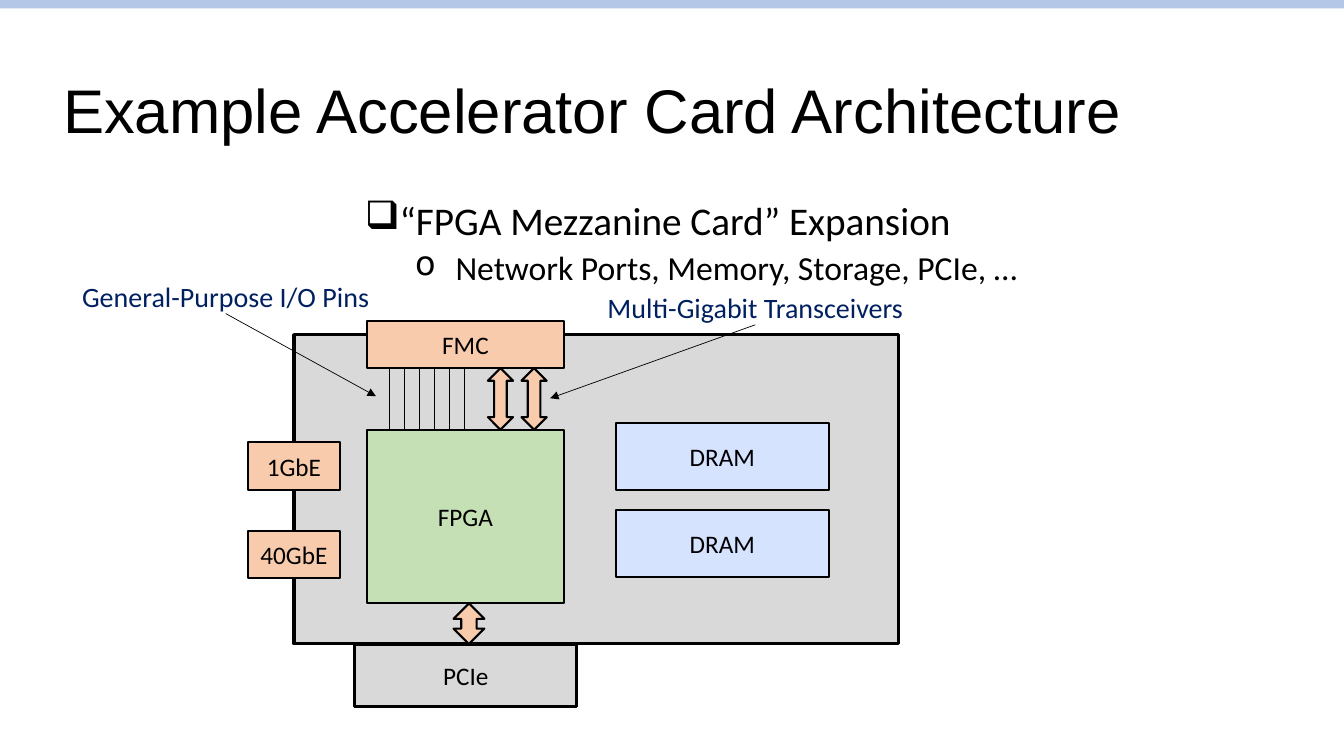
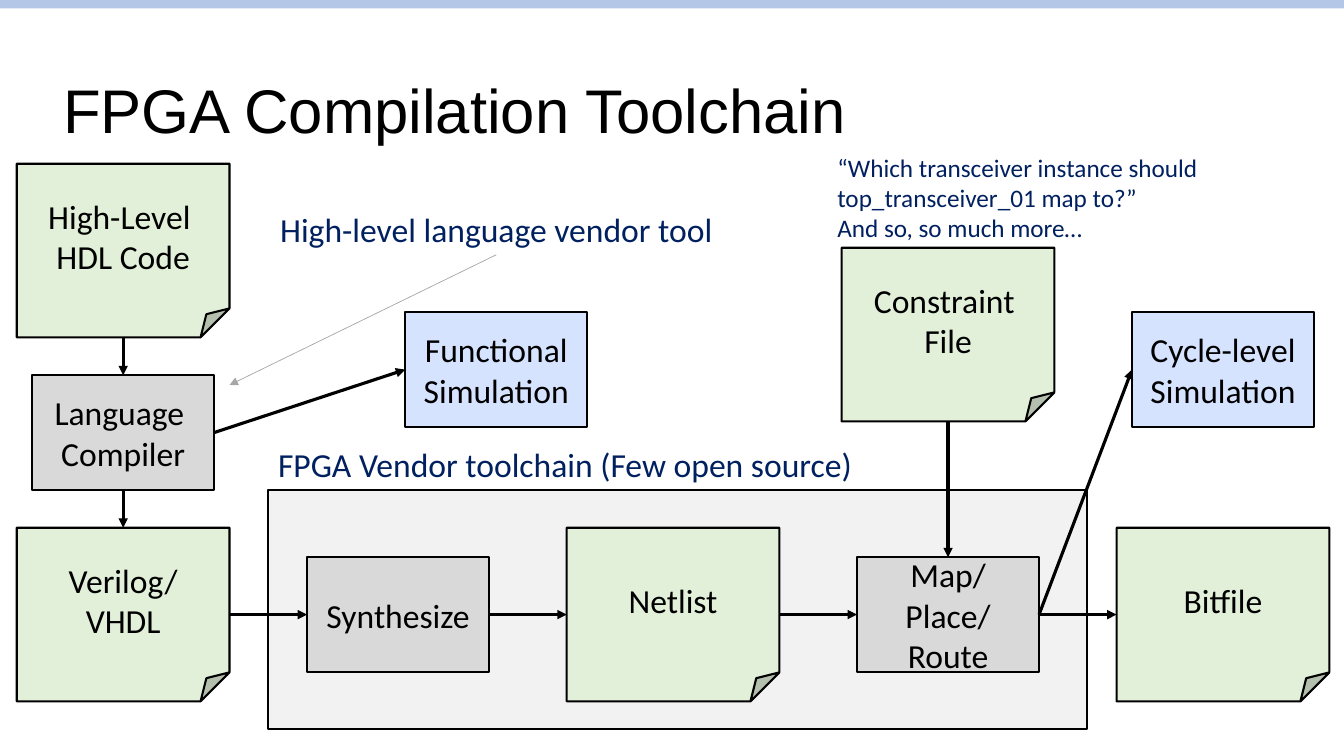
from dataclasses import dataclass

from lxml import etree
from pptx import Presentation
from pptx.dml.color import RGBColor
from pptx.enum import shapes, text
from pptx.oxml.ns import qn
from pptx.util import Pt


@dataclass(frozen=True)
class Theme:
    band: str = "B4C7E7"
    ink: str = "000000"
    note: str = "002060"
    gray: str = "D9D9D9"
    region: str = "F2F2F2"
    pointer: str = "A6A6A6"
    green: str = "C5E0B4"
    document: str = "E2F0D9"
    blue: str = "D6E3FF"
    orange: str = "F8CBAD"
    title_font: str = "Arial"
    body_font: str = "Calibri"
    title_size: int = 44
    bullet_size: int = 28
    large_size: int = 24
    label_size: int = 20
    small_size: int = 18
    outline: float = 1.5
    heavy: float = 2.25
    thin: float = 0.5


theme = Theme()
Shape = shapes.MSO_SHAPE
Align = text.PP_ALIGN
TOP, LEFT, BOTTOM, RIGHT = range(4)


def add_box(slide, frame, lines=(), fill=None, kind=Shape.RECTANGLE, line=theme.outline,
            size=theme.small_size, color=theme.ink, font=theme.body_font, align=Align.CENTER):
    frame = [Pt(length) for length in frame]
    if fill:
        shape = slide.shapes.add_shape(kind, *frame)
        shape.shadow.inherit = False
        shape.fill.solid()
        shape.fill.fore_color.rgb = RGBColor.from_string(fill)
        if line:
            shape.line.color.rgb = RGBColor.from_string(theme.ink)
            shape.line.width = Pt(line)
        else:
            shape.line.fill.background()
        shape.text_frame.vertical_anchor = text.MSO_ANCHOR.MIDDLE
    else:
        shape = slide.shapes.add_textbox(*frame)
        shape.text_frame.word_wrap = False
    if lines:
        shape.text_frame.text = "\n".join(lines)
        for paragraph in shape.text_frame.paragraphs:
            paragraph.alignment = align
            paragraph.font.size = Pt(size)
            paragraph.font.name = font
            paragraph.font.color.rgb = RGBColor.from_string(color)
    return shape


def add_line(slide, start, end, width=theme.heavy, color=theme.ink, arrow=True):
    joined = [len(place) == 2 and hasattr(place[0], "shape_id") for place in (start, end)]
    ends = [(0, 0) if join else place for join, place in zip(joined, (start, end))]
    connector = slide.shapes.add_connector(
        shapes.MSO_CONNECTOR.STRAIGHT, *[Pt(length) for point in ends for length in point])
    if joined[0]:
        connector.begin_connect(*start)
    if joined[1]:
        connector.end_connect(*end)
    connector.line.width = Pt(width)
    connector.line.color.rgb = RGBColor.from_string(color)
    if arrow:
        etree.SubElement(connector.line._get_or_add_ln(), qn("a:tailEnd"), type="triangle")
    etree.SubElement(connector._element.spPr, qn("a:effectLst"))


presentation = Presentation()
presentation.slide_width, presentation.slide_height = Pt(960), Pt(540)

slides = []
for heading in ("Example Accelerator Card Architecture", "FPGA Compilation Toolchain"):
    slide = presentation.slides.add_slide(presentation.slide_layouts[6])
    add_box(slide, (0, 0, 960, 6), fill=theme.band, line=None)
    title = add_box(slide, (38, 29, 919, 104), [heading], size=theme.title_size,
                    font=theme.title_font, align=Align.LEFT)
    title.text_frame.word_wrap = True
    title.text_frame.vertical_anchor = text.MSO_ANCHOR.MIDDLE
    title.text_frame.paragraphs[0].line_spacing = 0.9
    slides.append(slide)
card_slide, toolchain_slide = slides

add_box(card_slide, (210, 239, 432, 221), fill=theme.gray, line=theme.heavy)
add_box(card_slide, (253.5, 460, 158.5, 44.5), ["PCIe"], theme.gray, line=theme.heavy)
add_box(card_slide, (262, 307, 141, 124), ["FPGA"], theme.green)
add_box(card_slide, (262, 229, 141, 34), ["FMC"], theme.orange)
for top in (302, 364):
    add_box(card_slide, (440, top, 152, 48), ["DRAM"], theme.blue)
for top, port in ((316, "1GbE"), (379, "40GbE")):
    add_box(card_slide, (177, top, 66, 34), [port], theme.orange)
for pin in range(6):
    pin_x = 278 + 10.7 * pin
    add_line(card_slide, (pin_x, 307), (pin_x, 263), theme.thin, arrow=False)
for frame in ((348.5, 263, 18, 44), (372.5, 263, 18, 44), (324, 431, 22, 29)):
    add_box(card_slide, frame, fill=theme.orange, kind=Shape.UP_DOWN_ARROW)

body = add_box(card_slide, (253.5, 140.5, 501, 81),
               ["“FPGA Mezzanine Card” Expansion", "Network Ports, Memory, Storage, PCIe, …"],
               align=Align.LEFT).text_frame
body.word_wrap = True
bullets = (("❑", 18, -36, theme.bullet_size, 0), ("o", 64.8, -28.8, theme.large_size, 5))
for level, (paragraph, bullet) in enumerate(zip(body.paragraphs, bullets)):
    mark, margin, indent, size, space = bullet
    properties = paragraph._p.get_or_add_pPr()
    properties.set("marL", str(Pt(margin)))
    properties.set("indent", str(Pt(indent)))
    properties.insert(0, properties.makeelement(qn("a:buChar"), {"char": mark}))
    paragraph.level = level
    paragraph.line_spacing = 0.9
    paragraph.space_before = Pt(space)
    paragraph.font.size = Pt(size)

for frame, caption, target in (
    ((57.5, 199.5, 207.5, 24.5), "General-Purpose I/O Pins", (268.5, 283)),
    ((432.5, 207.5, 214, 24.5), "Multi-Gigabit Transceivers", (393, 284.5)),
):
    label = add_box(card_slide, frame, [caption], size=theme.label_size, color=theme.note)
    label_frame = label.text_frame
    label_frame.margin_left = label_frame.margin_right = 0
    label_frame.margin_top = label_frame.margin_bottom = 0
    add_line(card_slide, (label, BOTTOM), target, theme.thin)

add_box(toolchain_slide, (191.5, 350, 585, 170.5), fill=theme.region)
document = (152, 124, theme.document, Shape.FOLDED_CORNER)
step = (130, 82, theme.gray, Shape.RECTANGLE)
simulation = (130, 82, theme.blue, Shape.RECTANGLE)
columns = [88 + 196.4 * index for index in range(5)]
rows = [179 + 130 * index for index in range(3)]
nodes = {}
for name, style, center_x, center_y, lines in (
    ("code", document, columns[0], rows[0], ["High-Level ", "HDL Code"]),
    ("compiler", step, columns[0], rows[1], ["Language ", "Compiler"]),
    ("verilog", document, columns[0], rows[2], ["Verilog/", "VHDL"]),
    ("synthesize", step, columns[1], rows[2], ["Synthesize"]),
    ("netlist", document, columns[2], rows[2], ["Netlist"]),
    ("route", step, columns[3], rows[2], ["Map/", "Place/", "Route"]),
    ("bitfile", document, columns[4], rows[2], ["Bitfile"]),
    ("constraint", document, columns[3], 239, ["Constraint ", "File"]),
    ("functional", simulation, 354.5, 264, ["Functional", "Simulation"]),
    ("cycle", simulation, columns[4], 264, ["Cycle-level", "Simulation"]),
):
    width, height, fill, kind = style
    frame = (center_x - width / 2, center_y - height / 2, width, height)
    nodes[name] = add_box(toolchain_slide, frame, lines, fill, kind, size=theme.large_size)

for source, source_side, target, target_side in (
    ("code", BOTTOM, "compiler", TOP),
    ("compiler", BOTTOM, "verilog", TOP),
    ("verilog", RIGHT, "synthesize", LEFT),
    ("synthesize", RIGHT, "netlist", LEFT),
    ("netlist", RIGHT, "route", LEFT),
    ("route", RIGHT, "bitfile", LEFT),
    ("constraint", BOTTOM, "route", TOP),
    ("compiler", RIGHT, "functional", LEFT),
    ("route", RIGHT, "cycle", LEFT),
):
    add_line(toolchain_slide, (nodes[source], source_side), (nodes[target], target_side))

vendor_tool = add_box(toolchain_slide, (191.5, 146, 326, 36), ["High-level language vendor tool"],
                      size=theme.large_size, color=theme.note)
add_line(toolchain_slide, (vendor_tool, BOTTOM), (164, 275), theme.thin, theme.pointer)
add_box(toolchain_slide, (191.5, 313.5, 428, 36), ["FPGA Vendor toolchain (Few open source)"],
        size=theme.large_size, color=theme.note, align=Align.LEFT)
add_box(toolchain_slide, (591, 105, 275, 73),
        ["“Which transceiver instance should", "top_transceiver_01 map to?”",
         "And so, so much more…"],
        color=theme.note, align=Align.JUSTIFY)

presentation.save("out.pptx")
